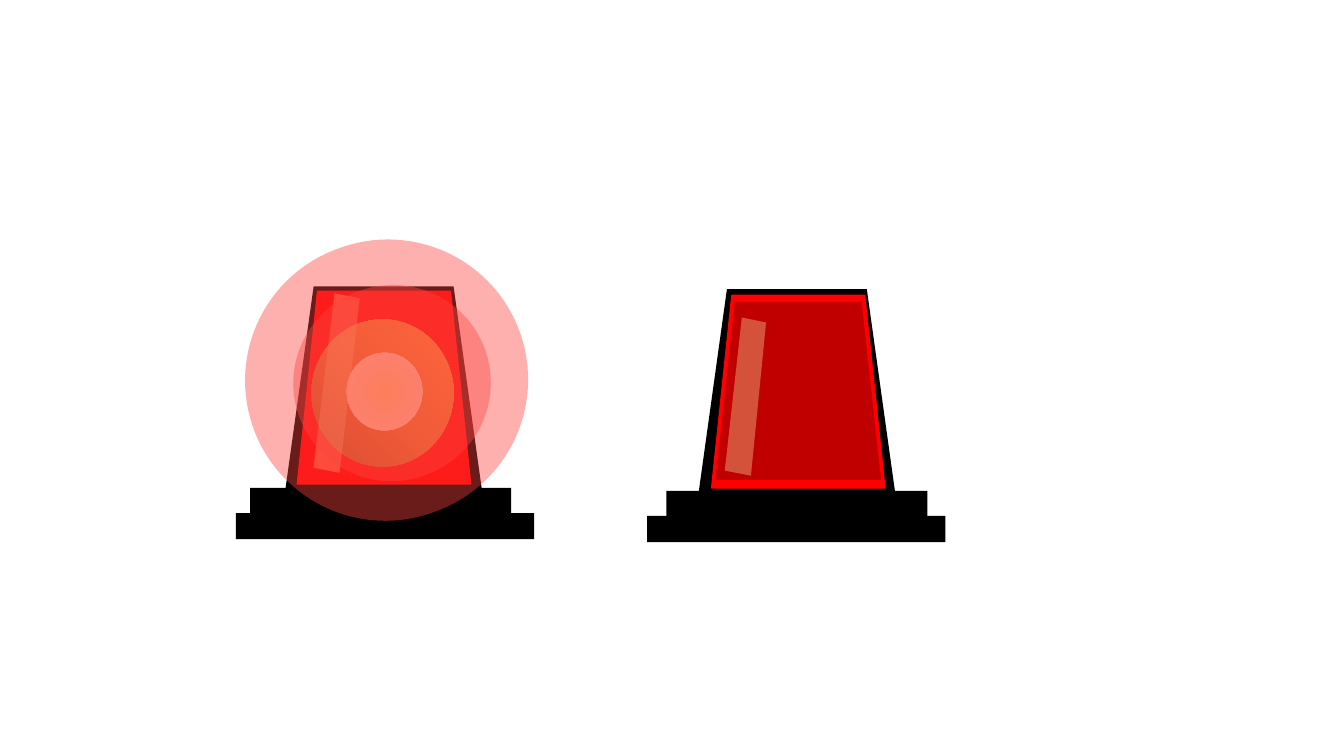
from lxml.etree import SubElement
from pptx import Presentation
from pptx.dml.color import RGBColor
from pptx.enum.shapes import MSO_SHAPE
from pptx.oxml import parse_xml
from pptx.oxml.ns import nsdecls, qn
from pptx.util import Pt

COLORS = {
    "black": "000000",
    "red": "FF0000",
    "dark red": "C00000",
    "glare": "FFF3AC",
    "halo": "FC453F",
}
AMBER_STOPS = ["9B5F1E", "E08A2D", "FFA537"]
BULB_STOPS = ["FFF194", "FFF4BC", "FFF9DE"]
LINEAR = '<a:lin ang="18900000" scaled="1"/>'
RADIAL = ('<a:path path="circle">'
          '<a:fillToRect l="50000" t="50000" r="50000" b="50000"/></a:path>')


def paint(shape, color, opacity=None, line=None):
    """Give a shape a flat fill, an optional opacity in percent and an optional 1 pt line."""
    shape.shadow.inherit = False
    shape.fill.solid()
    shape.fill.fore_color.rgb = RGBColor.from_string(COLORS[color])
    if opacity is not None:
        color_element = shape._element.spPr.find(qn("a:solidFill"))[0]
        SubElement(color_element, qn("a:alpha"), val=str(opacity * 1000))
    if line:
        shape.line.color.rgb = RGBColor.from_string(COLORS[line])
        shape.line.width = Pt(1)
    else:
        shape.line.fill.background()


def add_part(group, kind, box, color, adjustment=None, **paint_options):
    """Add a painted preset shape; box is left, top, width, height in points."""
    shape = group.shapes.add_shape(kind, *map(Pt, box))
    if adjustment is not None:
        shape.adjustments[0] = adjustment
    paint(shape, color, **paint_options)
    return shape


presentation = Presentation()
presentation.slide_width = Pt(960)
presentation.slide_height = Pt(540)
slide = presentation.slides.add_slide(presentation.slide_layouts[6])

# Size, shape, colour, adjustment and line of the parts both beacons share
HOUSING = {
    "upper base": ((186.5, 19.4), MSO_SHAPE.ROUNDED_RECTANGLE, "black", 0, None),
    "lower base": ((213.1, 18.7), MSO_SHAPE.ROUNDED_RECTANGLE, "black", 0, None),
    "body": ((140.4, 145.4), MSO_SHAPE.TRAPEZOID, "black", 0.144, None),
    "lens": ((123.8, 137.5), MSO_SHAPE.TRAPEZOID, "red", 0.117, "red"),
}
BEACONS = [
    {
        "lit": True,
        "upper base": (178.6, 348.5),
        "lower base": (168.5, 366.5),
        "body": (203.8, 204.5),
        "lens": (212.4, 208.1),
        "glare": [(239, 209.5), (223.9, 334.1), (242.6, 337.7), (257, 213.1)],
    },
    {
        "lit": False,
        "upper base": (475.9, 350.6),
        "lower base": (462.2, 368.6),
        "body": (499, 206.6),
        "lens": (508.3, 211),
        "glare": [(529.9, 226.8), (517.7, 336.2), (536.4, 339.8), (547.2, 230.4)],
    },
]
LIGHTS = [
    ((222.5, 228.2, 101.5, 105.1), AMBER_STOPS, LINEAR),
    ((247.7, 252, 54, 55.4), BULB_STOPS, RADIAL),
]
HALOS = [(175, 171.4, 202.3, 200.2), (209.5, 203.8, 141.1, 139.7)]

for beacon in BEACONS:
    group = slide.shapes.add_group_shape()
    for name, (size, kind, color, adjustment, line) in HOUSING.items():
        add_part(group, kind, beacon[name] + size, color, adjustment, line=line)

    if beacon["lit"]:
        for box, stops, direction in LIGHTS:
            light = add_part(group, MSO_SHAPE.OVAL, box, "glare")
            stop_list = "".join(
                f'<a:gs pos="{index * 50000}"><a:srgbClr val="{stop}"/></a:gs>'
                for index, stop in enumerate(stops))
            gradient = parse_xml(f'<a:gradFill {nsdecls("a")} rotWithShape="1">'
                                 f'<a:gsLst>{stop_list}</a:gsLst>{direction}</a:gradFill>')
            properties = light._element.spPr
            properties.replace(properties.find(qn("a:solidFill")), gradient)
    else:
        add_part(group, MSO_SHAPE.TRAPEZOID, (510.5, 215.3, 119.5, 128.2),
                 "dark red", 0.117, line="red")

    corners = [(Pt(x), Pt(y)) for x, y in beacon["glare"]]
    builder = group.shapes.build_freeform(*corners[0])
    builder.add_line_segments(corners[1:], close=True)
    paint(builder.convert_to_shape(), "glare", opacity=34)

    if beacon["lit"]:
        for box in HALOS:
            halo = add_part(group, MSO_SHAPE.ROUNDED_RECTANGLE, box, "halo", 0.5, opacity=42)
            halo.rotation = 339.6

presentation.save("out.pptx")
